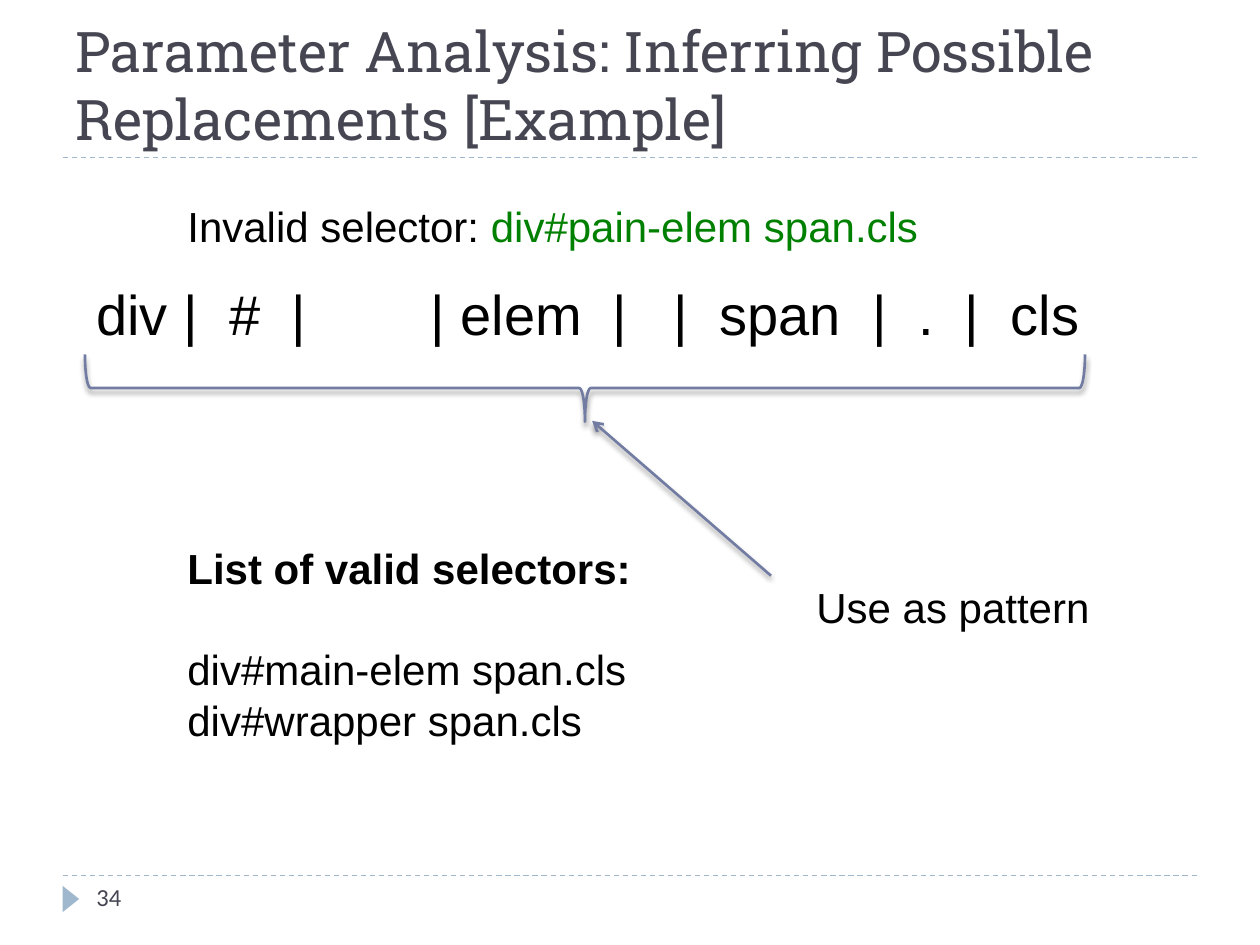
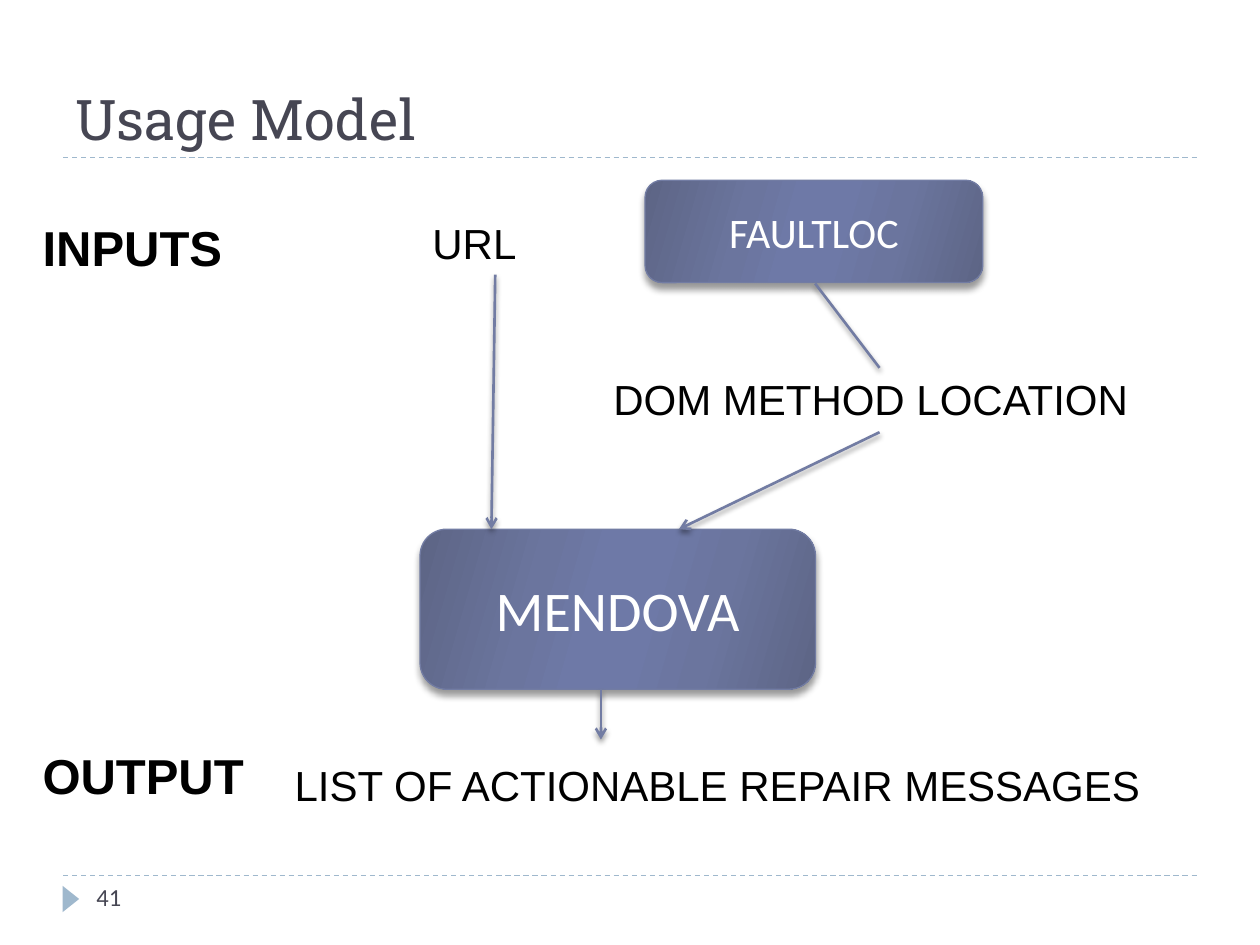
from lxml import etree
from pptx import Presentation
from pptx.dml.color import RGBColor
from pptx.enum.dml import MSO_LINE
from pptx.enum.shapes import MSO_CONNECTOR, MSO_SHAPE
from pptx.enum.text import MSO_ANCHOR, PP_ALIGN
from pptx.oxml.ns import qn
from pptx.util import Pt

INK, TITLE, GREEN, WHITE = "000000", "464653", "008000", "FFFFFF"
ACCENT, PALE = "727CA3", "9FB8CD"
BOX_STOPS = [(0, "5D6585"), (30, "6B759E"), (45, "6E79A7"),
             (55, "6E79A7"), (73, "6B759E"), (100, "5D6585")]
PATTERN_TABS = [76, 111.5, 191, 295, 330, 356, 443.5, 469.5, 496, 522.5]


def color(hex_code):
    """Turn a hex string into a colour."""
    return RGBColor.from_string(hex_code)


def child(parent, tag, **attrs):
    """Append an XML element with the given attributes."""
    el = etree.SubElement(parent, qn(tag))
    for key, value in attrs.items():
        el.set(key, str(value))
    return el


def add_shadow(s, blur, dist):
    """Give a shape or connector a soft shadow straight below it."""
    effects = child(s._element.spPr, "a:effectLst")
    shadow = child(effects, "a:outerShdw", blurRad=int(Pt(blur)),
                   dist=int(Pt(dist)), dir=5400000, rotWithShape=0)
    child(child(shadow, "a:srgbClr", val=INK), "a:alpha", val=40000)


def fill_gradient(s):
    """Fill a box with the shared slanted gradient."""
    s.fill.gradient()
    grad = s._element.spPr.find(qn("a:gradFill"))
    for el in list(grad):
        grad.remove(el)
    stops = child(grad, "a:gsLst")
    for pos, hex_code in BOX_STOPS:
        child(child(stops, "a:gs", pos=pos * 1000), "a:srgbClr", val=hex_code)
    child(grad, "a:lin", ang=16 * 60000, scaled=0)


def add_run(p, text, size=24, font="Arial", ink=INK, bold=False):
    """Add a formatted run to a paragraph."""
    r = p.add_run()
    r.text = text
    r.font.size, r.font.name, r.font.bold = Pt(size), font, bold
    r.font.color.rgb = color(ink)


def add_text(s, x, y, w, h, text, anchor=MSO_ANCHOR.TOP, **fmt):
    """Add a wrapping text box and return its text frame."""
    tf = s.shapes.add_textbox(Pt(x), Pt(y), Pt(w), Pt(h)).text_frame
    tf.word_wrap = True
    tf.vertical_anchor = anchor
    add_run(tf.paragraphs[0], text, **fmt)
    return tf


def set_tabs(p, stops):
    """Set left tab stops on a paragraph."""
    tabs = child(p._p.get_or_add_pPr(), "a:tabLst")
    for stop in stops:
        child(tabs, "a:tab", pos=int(Pt(stop)), algn="l")


def add_line(s, start, end, ink=ACCENT, width=1.5):
    """Add a straight line between two points."""
    line = s.shapes.add_connector(MSO_CONNECTOR.STRAIGHT,
                                  *map(Pt, start + end))
    line.line.color.rgb = color(ink)
    line.line.width = Pt(width)
    return line


def add_rule(s, y):
    """Add a dashed rule across the slide."""
    rule = add_line(s, (36, y), (684, y), PALE, 0.75)
    rule.line.dash_style = MSO_LINE.DASH
    child(rule._element.spPr, "a:effectLst")


def add_link(s, start, end, arrow=True):
    """Add a shadowed link, with an arrowhead at its end if wanted."""
    link = add_line(s, start, end)
    if arrow:
        child(link.line._get_or_add_ln(), "a:tailEnd", type="arrow")
    add_shadow(link, 3, 2)


def add_box(s, x, y, w, h, text, size):
    """Add a rounded gradient box with a centred label."""
    box = s.shapes.add_shape(MSO_SHAPE.ROUNDED_RECTANGLE,
                             Pt(x), Pt(y), Pt(w), Pt(h))
    fill_gradient(box)
    box.line.color.rgb = color(ACCENT)
    box.line.width = Pt(0.75)
    add_shadow(box, 4, 3.4)
    tf = box.text_frame
    tf.vertical_anchor = MSO_ANCHOR.MIDDLE
    p = tf.paragraphs[0]
    p.alignment = PP_ALIGN.CENTER
    add_run(p, text, size=size, font="Calibri", ink=WHITE)


def add_brace(s, x, y, w, h):
    """Add a brace that opens upwards and fills the given area."""
    brace = s.shapes.add_shape(MSO_SHAPE.RIGHT_BRACE, Pt(x + (w - h) / 2),
                               Pt(y + (h - w) / 2), Pt(h), Pt(w))
    brace.rotation = 90
    brace.fill.background()
    brace.line.color.rgb = color(ACCENT)
    brace.line.width = Pt(1.5)
    add_shadow(brace, 3, 2)


def add_slide(prs, title, number):
    """Add a slide with the shared title, rules and footer."""
    s = prs.slides.add_slide(prs.slide_layouts[6])
    for y in (500.4, 90):
        add_rule(s, y)
    marker = s.shapes.add_shape(MSO_SHAPE.ISOSCELES_TRIANGLE,
                                Pt(33), Pt(509), Pt(15), Pt(9.4))
    marker.rotation = 90
    marker.fill.solid()
    marker.fill.fore_color.rgb = color(PALE)
    marker.line.fill.background()
    marker.shadow.inherit = False
    add_text(s, 36, 12, 648, 78, title, anchor=MSO_ANCHOR.BOTTOM,
             size=32, font="Roboto Slab", ink=TITLE)
    add_text(s, 48, 500.4, 156, 29, number,
             size=14, font="Calibri", ink=TITLE)
    return s


def build_example(prs):
    """Build the slide that splits a selector into a pattern."""
    s = add_slide(prs, "Parameter Analysis: Inferring Possible "
                  "Replacements [Example]", "34")
    tf = add_text(s, 100, 111, 520, 36, "Invalid selector: ")
    add_run(tf.paragraphs[0], "div#pain-elem span.cls", ink=GREEN)
    parts = ["div |", "#", "|", "| elem", "|", "|", "span", "|", ".", "|", "cls"]
    tf = add_text(s, 48, 156, 636, 46, "\t".join(parts), size=32)
    set_tabs(tf.paragraphs[0], PATTERN_TABS)
    add_link(s, (440.6, 329), (338.4, 240.5))
    add_text(s, 459.4, 329, 184, 36, "Use as pattern")
    add_brace(s, 48.5, 202.5, 571.5, 38.5)
    tf = add_text(s, 100, 306.7, 558, 124, "List of valid selectors:", bold=True)
    tf.paragraphs[0].space_after = Pt(28.8)
    for selector in ("div#main-elem span.cls", "div#wrapper span.cls"):
        add_run(tf.add_paragraph(), selector)


def build_usage(prs):
    """Build the slide with the flow from inputs to output."""
    s = add_slide(prs, "Usage Model", "41")
    add_box(s, 240, 302.4, 226, 91.5, "MENDOVA", 32)
    for y, label in ((121, "INPUTS"), (422.6, "OUTPUT")):
        add_text(s, 17.3, y, 144, 41, label, size=28, bold=True)
    add_box(s, 368.6, 103, 193, 58.5, "FAULTLOC", 24)
    add_text(s, 240, 121, 86.4, 36, "URL")
    add_text(s, 343.4, 210.2, 319, 36, "DOM METHOD LOCATION")
    add_text(s, 161.3, 430.6, 503, 36, "LIST OF ACTIONABLE REPAIR MESSAGES")
    add_link(s, (283, 157), (280.8, 302.4))
    add_link(s, (465.8, 162), (502.6, 210.2), arrow=False)
    add_link(s, (502.6, 247), (388, 302.4))
    add_link(s, (343.4, 394), (343.4, 422.6))


def main():
    """Build and save the presentation."""
    prs = Presentation()
    prs.slide_width, prs.slide_height = Pt(720), Pt(540)
    build_example(prs)
    build_usage(prs)
    prs.save("out.pptx")


if __name__ == "__main__":
    main()
